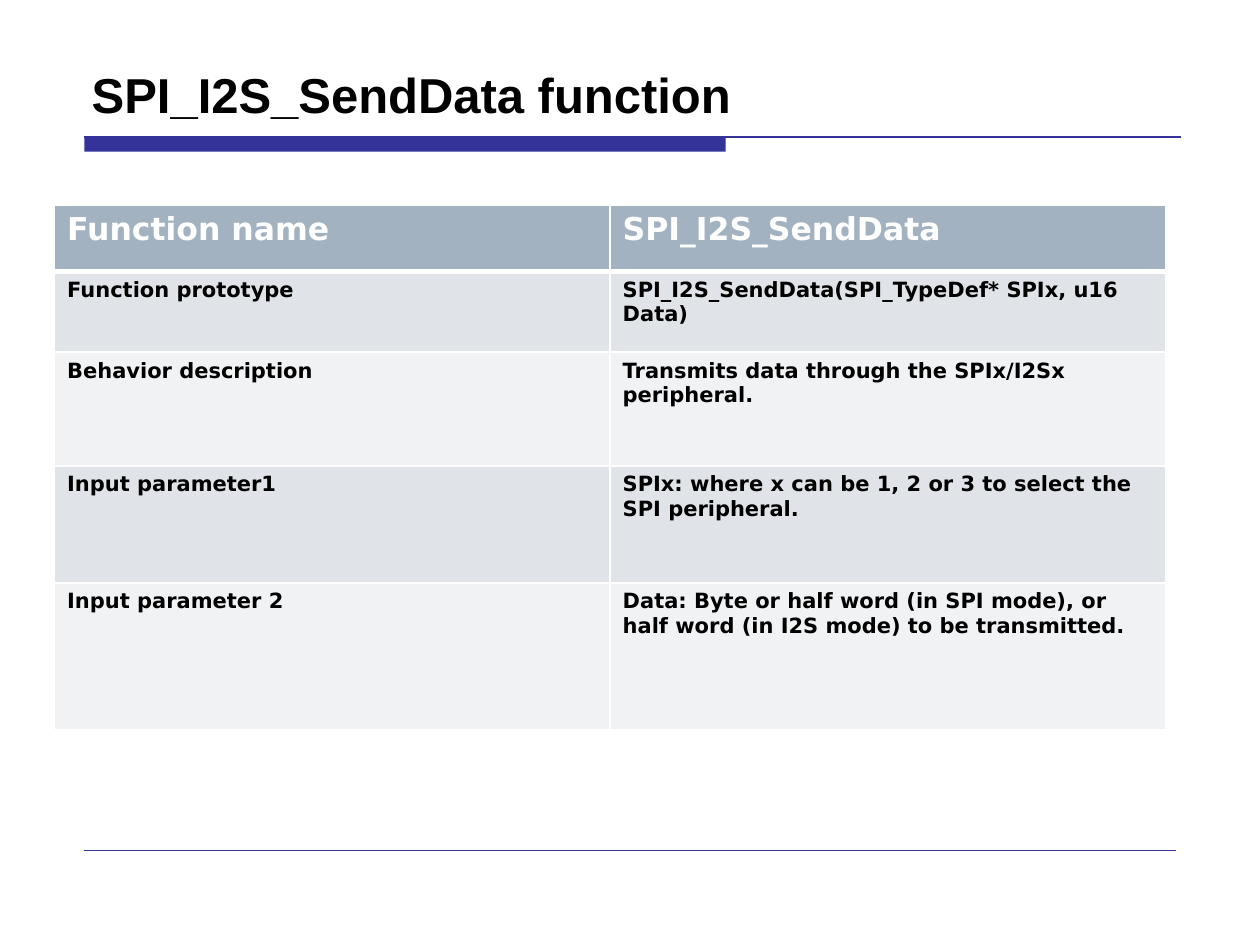
import pptx
import pptx.dml.color
import pptx.enum.shapes
import pptx.enum.text
import pptx.oxml
import pptx.oxml.ns
import pptx.util
from pptx.util import Cm

ROWS = [
    (1.34, "Function name", "SPI_I2S_SendData"),
    (1.63, "Function prototype", "SPI_I2S_SendData(SPI_TypeDef* SPIx, u16 Data)"),
    (2.29, "Behavior description", "Transmits data through the SPIx/I2Sx peripheral."),
    (2.36, "Input parameter1",
     "SPIx: where x can be 1, 2 or 3 to select the SPI peripheral."),
    (2.97, "Input parameter 2",
     "Data: Byte or half word (in SPI mode), or half word (in I2S mode) to be transmitted."),
]


def tint(code):
    """Turn a hex string into a colour."""
    return pptx.dml.color.RGBColor.from_string(code)


def write(frame, text, size=12, font="DejaVu Sans", color="000000", bold=True):
    frame.word_wrap = True
    run = frame.paragraphs[0].add_run()
    run.text = text
    run.font.size = pptx.util.Pt(size)
    run.font.name = font
    run.font.bold = bold
    run.font.color.rgb = tint(color)


def edge(cell, side, width, color="FFFFFF"):
    """Draw one border of a cell; call before the cell is filled."""
    cell._tc.get_or_add_tcPr().append(pptx.oxml.parse_xml(
        f'<a:ln{side} {pptx.oxml.ns.nsdecls("a")} w="{pptx.util.Pt(width)}">'
        f'<a:solidFill><a:srgbClr val="{color}"/></a:solidFill></a:ln{side}>'))


class Deck:
    ink = "333399"
    head = "A3B2C1"
    bands = ("E0E4E9", "F0F2F4")

    def __init__(self):
        self.show = pptx.Presentation()
        self.show.slide_width = Cm(25.4)
        self.show.slide_height = Cm(19.05)
        self.slide = self.show.slides.add_slide(self.show.slide_layouts[6])

    def bar(self, x, y, w, h):
        shape = self.slide.shapes.add_shape(
            pptx.enum.shapes.MSO_SHAPE.RECTANGLE, Cm(x), Cm(y), Cm(w), Cm(h))
        shape.shadow.inherit = False
        shape.fill.solid()
        shape.fill.fore_color.rgb = tint(self.ink)
        shape.line.fill.background()

    def rule(self, x, y, end, width):
        """Draw a level line from x to end."""
        line = self.slide.shapes.add_connector(
            pptx.enum.shapes.MSO_CONNECTOR.STRAIGHT, Cm(x), Cm(y), Cm(end), Cm(y))
        line.line.color.rgb = tint(self.ink)
        line.line.width = pptx.util.Pt(width)
        line._element.spPr.append(pptx.oxml.parse_xml(
            f'<a:effectLst {pptx.oxml.ns.nsdecls("a")}/>'))

    def title(self, text, x, y, w, h):
        frame = self.slide.shapes.add_textbox(Cm(x), Cm(y), Cm(w), Cm(h)).text_frame
        frame.vertical_anchor = pptx.enum.text.MSO_ANCHOR.BOTTOM
        write(frame, text, size=28, font="Arial")

    def table(self, rows, x, y, w):
        high = sum(row[0] for row in rows)
        grid = self.slide.shapes.add_table(
            len(rows), 2, Cm(x), Cm(y), Cm(w), Cm(high)).table
        for i, (tall, *texts) in enumerate(rows):
            grid.rows[i].height = Cm(tall)
            for j, text in enumerate(texts):
                self.cell(grid.cell(i, j), text, i)

    def cell(self, cell, text, row):
        top = row == 0
        for side in "LRTB":
            thick = (top and side == "B") or (row == 1 and side == "T")
            edge(cell, side, 3 if thick else 1)
        cell.fill.solid()
        cell.fill.fore_color.rgb = tint(self.head if top else self.bands[(row - 1) % 2])
        write(cell.text_frame, text, size=18 if top else 12,
              color="FFFFFF" if top else "000000")


def main():
    deck = Deck()
    deck.bar(1.7, 2.76, 12.93, 0.3)
    deck.rule(1.7, 2.76, 23.8, 0.75)
    deck.rule(1.7, 17.15, 23.7, 0.25)
    deck.title("SPI_I2S_SendData function", 1.6, 0.71, 22.23, 1.91)
    deck.table(ROWS, 1.1, 4.13, 22.4)
    deck.show.save("out.pptx")


if __name__ == "__main__":
    main()
